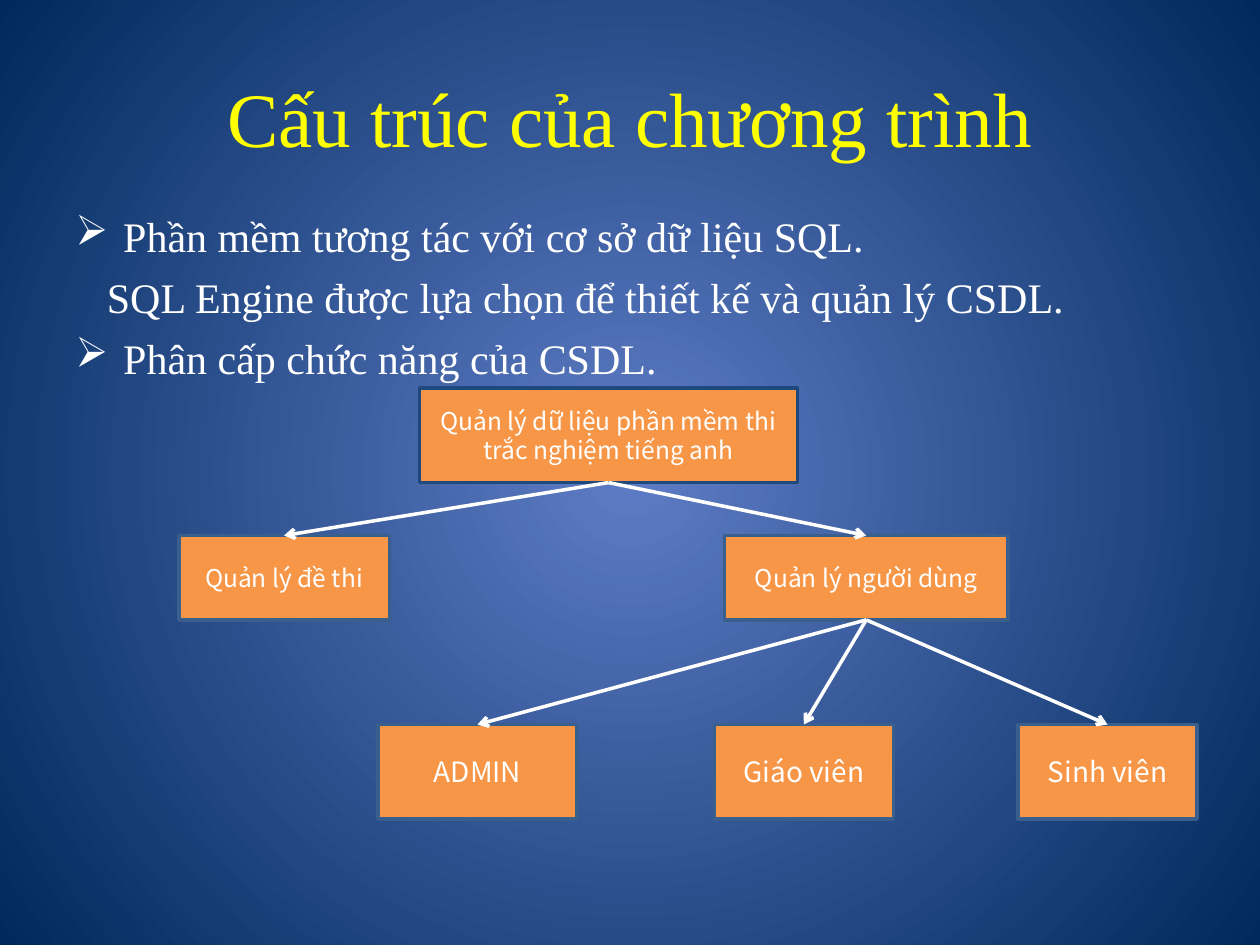
from dataclasses import dataclass

from lxml.etree import SubElement
from pptx import Presentation
from pptx.dml.color import RGBColor
from pptx.enum.shapes import MSO_CONNECTOR, MSO_SHAPE
from pptx.enum.text import MSO_ANCHOR, PP_ALIGN
from pptx.oxml.ns import qn
from pptx.shapes.autoshape import Shape
from pptx.slide import Slide
from pptx.util import Inches, Pt

SERIF = "Times New Roman"
SANS = "Noto Sans CJK KR"
WHITE = "FFFFFF"
ORANGE = "F79646"
BORDER = "3A5F8C"


@dataclass
class Bullet:
    text: str
    marker: str = ""


@dataclass
class Node:
    text: str
    left: float
    top: float
    width: float
    height: float
    size: int
    border: str = BORDER


def color(value: str) -> RGBColor:
    return RGBColor.from_string(value)


def style_runs(paragraph, font_name: str, size: int, fill: str) -> None:
    for run in paragraph.runs:
        run.font.name = font_name
        run.font.size = Pt(size)
        run.font.color.rgb = color(fill)


def paint_background(slide: Slide, center: str, edge: str) -> None:
    fill = slide.background.fill
    fill.gradient()
    for stop, value in zip(fill.gradient_stops, (center, edge)):
        stop.color.rgb = color(value)
    gradient = slide.element.find(f".//{qn('a:gradFill')}")
    gradient.remove(gradient.find(qn("a:lin")))
    radial = SubElement(gradient, qn("a:path"), path="circle")
    SubElement(radial, qn("a:fillToRect"), l="50000", t="50000", r="50000", b="50000")


def write_title(slide: Slide, text: str) -> None:
    title = slide.shapes.title
    title.left, title.top = Inches(0.5), Inches(0.3)
    title.width, title.height = Inches(9), Inches(1.25)
    title.text_frame.text = text
    title.text_frame.vertical_anchor = MSO_ANCHOR.MIDDLE
    heading = title.text_frame.paragraphs[0]
    heading.alignment = PP_ALIGN.CENTER
    style_runs(heading, SERIF, 44, "FFFF00")


def write_bullets(slide: Slide, bullets: list[Bullet]) -> None:
    body = slide.shapes.add_textbox(Inches(0.5), Inches(1.62), Inches(9), Inches(5.21))
    frame = body.text_frame
    frame.word_wrap = True
    frame.text = "\n".join(bullet.text for bullet in bullets)
    for paragraph, bullet in zip(frame.paragraphs, bullets):
        paragraph.space_before = Pt(6)
        style_runs(paragraph, SERIF, 24, WHITE)
        properties = paragraph._p.get_or_add_pPr()
        if bullet.marker:
            properties.set("marL", str(Inches(0.38)))
            properties.set("indent", str(-Inches(0.38)))
            SubElement(properties, qn("a:buChar"), char=bullet.marker)
        else:
            properties.set("marL", str(Inches(0.25)))
            properties.set("indent", "0")
            SubElement(properties, qn("a:buNone"))


def draw_node(slide: Slide, node: Node) -> Shape:
    box = slide.shapes.add_shape(
        MSO_SHAPE.RECTANGLE,
        Inches(node.left), Inches(node.top), Inches(node.width), Inches(node.height),
    )
    box.shadow.inherit = False
    box.fill.solid()
    box.fill.fore_color.rgb = color(ORANGE)
    box.line.color.rgb = color(node.border)
    box.line.width = Pt(2)
    frame = box.text_frame
    frame.word_wrap = True
    frame.vertical_anchor = MSO_ANCHOR.MIDDLE
    frame.text = node.text
    label = frame.paragraphs[0]
    label.alignment = PP_ALIGN.CENTER
    style_runs(label, SANS, node.size, WHITE)
    return box


def draw_arrow(slide: Slide, parent: Shape, child: Shape) -> None:
    arrow = slide.shapes.add_connector(MSO_CONNECTOR.STRAIGHT, 0, 0, 0, 0)
    arrow.begin_connect(parent, 2)
    arrow.end_connect(child, 0)
    arrow.line.color.rgb = color(WHITE)
    arrow.line.width = Pt(2)
    SubElement(arrow.line._get_or_add_ln(), qn("a:tailEnd"), type="arrow")
    SubElement(arrow._element.spPr, qn("a:effectLst"))


def main() -> None:
    presentation = Presentation()
    presentation.slide_width, presentation.slide_height = Inches(10), Inches(7.5)
    slide = presentation.slides.add_slide(presentation.slide_layouts.get_by_name("Title Only"))

    paint_background(slide, "5E7CC5", "00295C")
    write_title(slide, "Cấu trúc của chương trình")
    write_bullets(slide, [
        Bullet("Phần mềm tương tác với cơ sở dữ liệu SQL.", "➢"),
        Bullet("SQL Engine được lựa chọn để thiết kế và quản lý CSDL."),
        Bullet("Phân cấp chức năng của CSDL.", "➢"),
    ])

    system = draw_node(slide, Node(
        "Quản lý dữ liệu phần mềm thi trắc nghiệm tiếng anh",
        3.33, 3.08, 3, 0.75, 14, "1F497D",
    ))
    exams, users = [
        draw_node(slide, Node(text, left, 4.25, width, 0.67, 14))
        for text, left, width in (
            ("Quản lý đề thi", 1.42, 1.67),
            ("Quản lý người dùng", 5.75, 2.25),
        )
    ]
    roles = [
        draw_node(slide, Node(text, left, 5.75, width, 0.75, 16))
        for text, left, width in (
            ("ADMIN", 3, 1.58),
            ("Giáo viên", 5.67, 1.42),
            ("Sinh viên", 8.08, 1.42),
        )
    ]
    for parent, children in ((users, roles), (system, [exams, users])):
        for child in children:
            draw_arrow(slide, parent, child)

    presentation.save("out.pptx")


if __name__ == "__main__":
    main()
